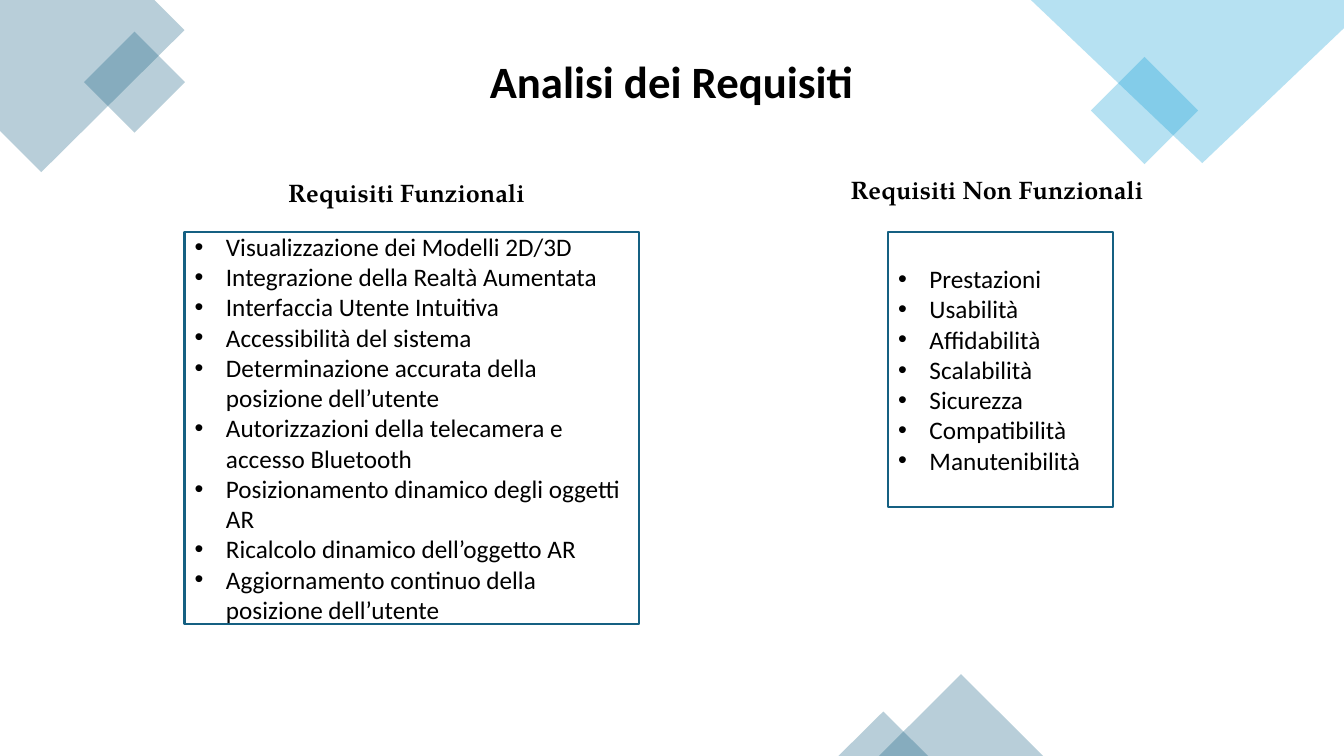
from dataclasses import dataclass

from lxml.etree import SubElement
from pptx import Presentation
from pptx.dml.color import RGBColor
from pptx.enum.shapes import MSO_SHAPE as Shape
from pptx.enum.text import MSO_ANCHOR as Anchor
from pptx.enum.text import MSO_AUTO_SIZE as AutoSize
from pptx.enum.text import PP_ALIGN as Align
from pptx.oxml.ns import qn
from pptx.util import Cm, Pt


@dataclass(frozen=True)
class Theme:
    teal: RGBColor = RGBColor(0x15, 0x60, 0x82)
    sky: RGBColor = RGBColor(0x0F, 0x9E, 0xD5)
    ink: RGBColor = RGBColor(0, 0, 0)
    paper: RGBColor = RGBColor(255, 255, 255)
    opacity: int = 30
    sans: str = "Calibri"
    serif: str = "TeX Gyre Pagella"
    title_size: Pt = Pt(32)
    text_size: Pt = Pt(18)
    border: Pt = Pt(1.5)


THEME = Theme()

FUNCTIONAL = [
    "Visualizzazione dei Modelli 2D/3D",
    "Integrazione della Realtà Aumentata",
    "Interfaccia Utente Intuitiva",
    "Accessibilità del sistema",
    "Determinazione accurata della posizione dell’utente",
    "Autorizzazioni della telecamera e accesso Bluetooth",
    "Posizionamento dinamico degli oggetti AR",
    "Ricalcolo dinamico dell’oggetto AR",
    "Aggiornamento continuo della posizione dell’utente",
]
NON_FUNCTIONAL = [
    "Prestazioni", "Usabilità", "Affidabilità", "Scalabilità",
    "Sicurezza", "Compatibilità", "Manutenibilità",
]


# Corner decorations
def tint(decoration, color):
    """Give a decoration a translucent fill without outline or shadow."""
    decoration.shadow.inherit = False
    decoration.line.fill.background()
    decoration.fill.solid()
    decoration.fill.fore_color.rgb = color
    srgb = decoration.fill._xPr.find(qn("a:solidFill"))[0]
    SubElement(srgb, qn("a:alpha")).set("val", str(THEME.opacity * 1000))


def add_corner(slide, points, color):
    start, *others = [(Cm(x), Cm(y)) for x, y in points]
    outline = slide.shapes.build_freeform(*start)
    outline.add_line_segments(others, close=True)
    tint(outline.convert_to_shape(), color)


def add_diamond(slide, left, top, side, color):
    diamond = slide.shapes.add_shape(
        Shape.RECTANGLE, Cm(left), Cm(top), Cm(side), Cm(side))
    diamond.rotation = 315
    tint(diamond, color)


def add_peak(slide, left, top, width, height, color):
    peak = slide.shapes.add_shape(
        Shape.ISOSCELES_TRIANGLE, Cm(left), Cm(top), Cm(width), Cm(height))
    tint(peak, color)


# Text
def place(holder, left, top, width, height):
    holder.left, holder.top = Cm(left), Cm(top)
    holder.width, holder.height = Cm(width), Cm(height)
    frame = holder.text_frame
    frame.word_wrap = True
    frame.auto_size = AutoSize.NONE
    frame.vertical_anchor = Anchor.MIDDLE
    return frame


def write(paragraph, text, font, size, bold):
    paragraph.alignment = Align.LEFT
    paragraph.space_before = Pt(0)
    run = paragraph.add_run()
    run.text = text
    run.font.name, run.font.size, run.font.bold = font, size, bold
    run.font.color.rgb = THEME.ink


def fill_heading(holder, text, box, font, size):
    frame = place(holder, *box)
    frame.margin_right = 0
    write(frame.paragraphs[0], text, font, size, True)


def add_bullet(paragraph):
    props = paragraph._p.get_or_add_pPr()
    props.set("marL", str(Cm(0.79)))
    props.set("indent", str(-Cm(0.79)))
    SubElement(props, qn("a:buFont")).set("typeface", "Arial")
    SubElement(props, qn("a:buChar")).set("char", "•")


def fill_list(holder, items, box):
    frame = place(holder, *box)
    holder.fill.solid()
    holder.fill.fore_color.rgb = THEME.paper
    holder.line.color.rgb = THEME.teal
    holder.line.width = THEME.border
    for number, item in enumerate(items):
        paragraph = frame.add_paragraph() if number else frame.paragraphs[0]
        add_bullet(paragraph)
        write(paragraph, item, THEME.sans, THEME.text_size, False)


def main():
    deck = Presentation()
    deck.slide_width, deck.slide_height = Cm(33.87), Cm(19.05)
    slide = deck.slides.add_slide(deck.slide_layouts.get_by_name("Comparison"))
    title, left_head, left_list, right_head, right_list = slide.placeholders

    # Top left, top right and bottom decorations
    add_corner(slide, [(3.89, 0), (0, 0), (0, 3.3), (1.04, 4.34), (4.65, 0.76)],
               THEME.teal)
    add_diamond(slide, 2.49, 1.17, 1.8, THEME.teal)
    add_diamond(slide, 27.89, 1.83, 1.91, THEME.sky)
    add_corner(slide, [(33.87, 0), (25.98, 0), (30.3, 4.11), (33.87, 0.71)],
               THEME.sky)
    add_peak(slide, 22.15, 16.99, 4.14, 2.06, THEME.teal)
    add_peak(slide, 21.13, 17.93, 2.26, 1.12, THEME.teal)

    # Title and the two requirement columns
    fill_heading(title, "Analisi dei Requisiti", (12.09, 1.22, 9.75, 1.63),
                 THEME.sans, THEME.title_size)
    fill_heading(left_head, "Requisiti Funzionali", (7.01, 4.34, 7.52, 1.02),
                 THEME.serif, THEME.text_size)
    fill_heading(right_head, "Requisiti Non Funzionali",
                 (21.18, 4.27, 8.05, 1.02), THEME.serif, THEME.text_size)
    fill_list(left_list, FUNCTIONAL, (4.65, 5.84, 11.46, 9.88))
    fill_list(right_list, NON_FUNCTIONAL, (22.38, 5.84, 5.66, 6.93))

    deck.save("out.pptx")


if __name__ == "__main__":
    main()
